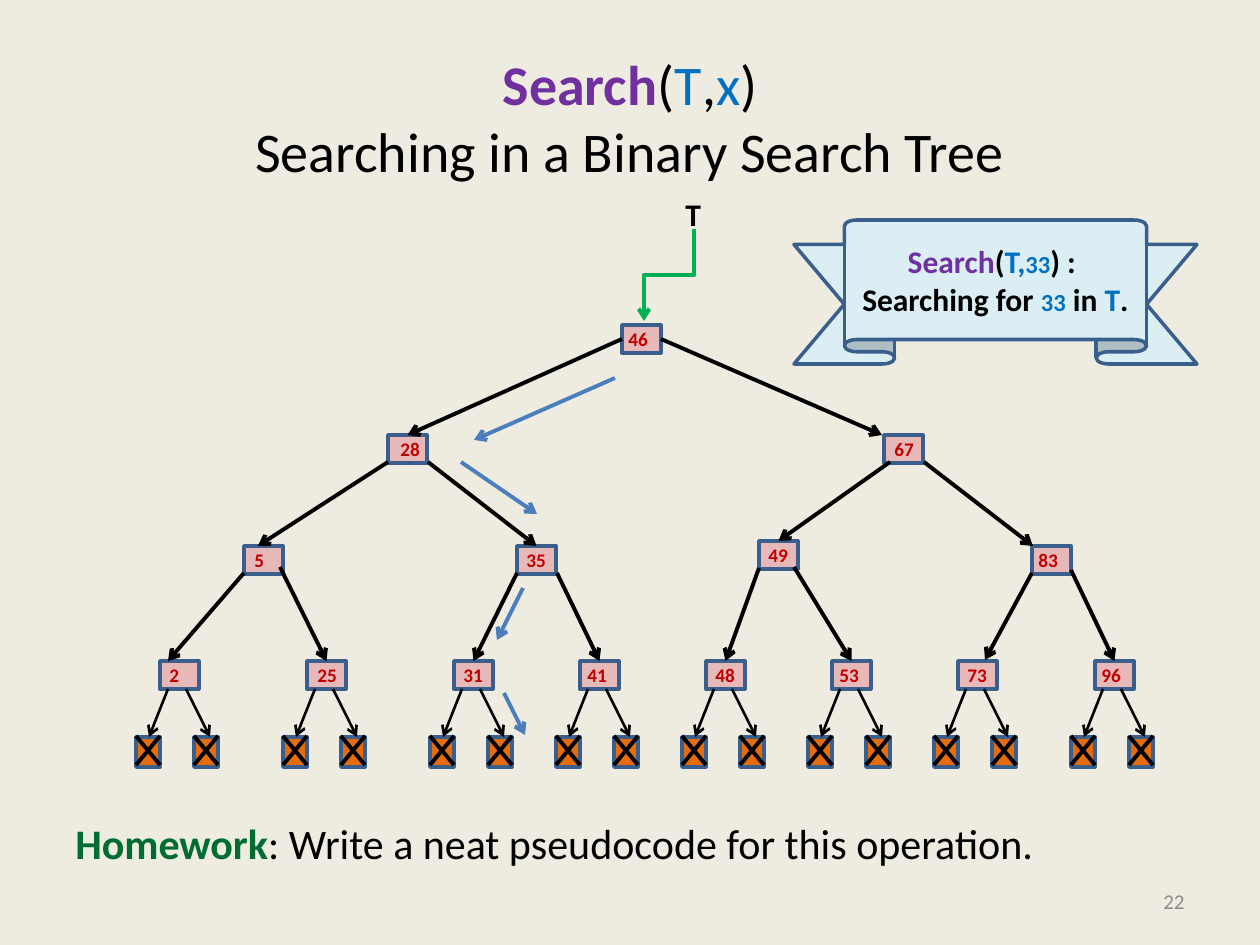
from lxml import etree
from pptx import Presentation
from pptx.dml.color import RGBColor
from pptx.enum.shapes import MSO_CONNECTOR, MSO_SHAPE
from pptx.enum.text import MSO_ANCHOR, MSO_AUTO_SIZE, PP_ALIGN
from pptx.oxml.ns import qn
from pptx.util import Emu, Pt

STRAIGHT, ELBOW = MSO_CONNECTOR.STRAIGHT, MSO_CONNECTOR.ELBOW
RECT, RIBBON = MSO_SHAPE.RECTANGLE, MSO_SHAPE.UP_RIBBON
MIDDLE, TOP = MSO_ANCHOR.MIDDLE, MSO_ANCHOR.TOP
LEFT, CENTER, RIGHT = PP_ALIGN.LEFT, PP_ALIGN.CENTER, PP_ALIGN.RIGHT
FIT_SHAPE, NO_FIT = MSO_AUTO_SIZE.SHAPE_TO_FIT_TEXT, MSO_AUTO_SIZE.NONE

EMU_PER_PX = 914400 / 126
BLACK, PURPLE, BLUE, GREEN = "000000", "7030A0", "0070C0", "00B050"
RED, OUTLINE, PATH_BLUE = "C00000", "3A5F8C", "4B7EBC"
PINK, ORANGE, PALE_BLUE = "E6B9B8", "E46C0A", "DBEEF4"
NODE_W, NODE_H = 39, 28
NULL_W, NULL_H = 24, 30
LEAF_Y, NULL_Y = 661, 737


def px(length):
    return Emu(round(length * EMU_PER_PX))


def rgb(value):
    return RGBColor.from_string(value)


class Canvas:
    font = "Calibri"

    def __init__(self, slide):
        self.slide = slide

    def fill_text(self, frame, paragraphs, align=LEFT, anchor=TOP):
        frame.vertical_anchor = anchor
        for index, parts in enumerate(paragraphs):
            paragraph = frame.add_paragraph() if index else frame.paragraphs[0]
            paragraph.alignment = align
            for text, size, color, bold in parts:
                if text == "\n":
                    paragraph.add_line_break()
                    continue
                run = paragraph.add_run()
                run.text = text
                run.font.name = self.font
                run.font.size = Pt(size)
                run.font.bold = bold
                run.font.color.rgb = rgb(color)

    def title(self, x, y, w, h, parts):
        heading = self.slide.shapes.title
        heading.left, heading.top, heading.width, heading.height = map(px, (x, y, w, h))
        heading.text_frame.auto_size = NO_FIT
        self.fill_text(heading.text_frame, [parts], CENTER, MIDDLE)

    def text(self, x, y, w, h, parts, align=LEFT, anchor=TOP, wrap=True):
        frame = self.slide.shapes.add_textbox(*map(px, (x, y, w, h))).text_frame
        frame.word_wrap = wrap
        frame.auto_size = NO_FIT if wrap else FIT_SHAPE
        self.fill_text(frame, [parts], align, anchor)

    def shape(self, kind, x, y, w, h, fill):
        shape = self.slide.shapes.add_shape(kind, *map(px, (x, y, w, h)))
        shape.shadow.inherit = False
        shape.fill.solid()
        shape.fill.fore_color.rgb = rgb(fill)
        shape.line.color.rgb = rgb(OUTLINE)
        shape.line.width = Pt(2)
        return shape

    def line(self, x1, y1, x2, y2, color=BLACK, width=2.25, arrow=True, kind=STRAIGHT):
        line = self.slide.shapes.add_connector(kind, *map(px, (x1, y1, x2, y2)))
        line.line.color.rgb = rgb(color)
        line.line.width = Pt(width)
        properties = line._element.spPr
        if arrow:
            etree.SubElement(properties.find(qn("a:ln")), qn("a:tailEnd"), type="arrow")
        etree.SubElement(properties, qn("a:effectLst"))
        return line

    def null_leaf(self, x):
        bottom = NULL_Y + NULL_H - 2
        self.shape(RECT, x, NULL_Y, NULL_W, NULL_H, ORANGE)
        self.line(x + NULL_W, NULL_Y - 1, x, bottom, arrow=False)
        self.line(x, NULL_Y - 1, x + NULL_W, bottom, arrow=False)


def main():
    deck = Presentation()
    deck.slide_width, deck.slide_height = px(1260), px(945)
    slide = deck.slides.add_slide(deck.slide_layouts[5])
    slide.background.fill.solid()
    slide.background.fill.fore_color.rgb = rgb("EEECE1")
    canvas = Canvas(slide)

    canvas.title(63, 38, 1134, 157, [
        ("Search", 32, PURPLE, True), ("(", 32, BLACK, False),
        ("T", 32, BLUE, False), (",", 32, BLACK, False),
        ("x", 32, BLUE, False), (")", 32, BLACK, False),
        ("\n", 32, BLACK, False),
        ("Searching in a Binary Search Tree", 32, BLACK, False)])
    canvas.text(63, 811, 1134, 64, [
        ("Homework", 24, "006C31", True),
        (": Write a neat pseudocode for this operation.", 24, BLACK, False)])
    canvas.text(903, 876, 294, 50, [("22", 12, "8C8C8C", False)], RIGHT, MIDDLE)

    inner_nodes = [(46, 622, 325, 616), (28, 388, 435, 388), (67, 884, 435, 882),
                   (5, 244, 546, 242), (35, 517, 546, 514), (49, 759, 541, 756),
                   (83, 1032, 546, 1026)]
    leaf_nodes = [(2, 160, 157), (25, 307, 305), (31, 454, 451), (41, 580, 575),
                  (48, 706, 703), (53, 832, 827), (73, 958, 955), (96, 1095, 1089)]
    tree = inner_nodes + [(key, x, LEAF_Y, label_x) for key, x, label_x in leaf_nodes]
    nodes = {key: canvas.shape(RECT, x, y, NODE_W, NODE_H, PINK)
             for key, x, y, _ in tree}

    for _, x, _ in leaf_nodes:
        for null_x, start_x, end_x in ((-24, 8, -11), (34, 26, 50)):
            canvas.null_leaf(x + null_x)
            canvas.line(x + start_x, LEAF_Y + NODE_H, x + end_x, NULL_Y, width=1.5)

    edges = [
        (46, 28, 622, 339, 408, 435), (46, 67, 661, 339, 882, 435),
        (28, 5, 388, 462, 258, 546), (28, 35, 428, 462, 537, 546),
        (67, 49, 890, 462, 779, 541), (67, 83, 924, 462, 1033, 546),
        (5, 2, 244, 573, 168, 661), (5, 25, 280, 567, 326, 661),
        (35, 31, 517, 573, 474, 661), (35, 41, 557, 573, 600, 661),
        (49, 48, 759, 568, 726, 661), (49, 53, 794, 567, 852, 661),
        (83, 73, 1032, 573, 985, 660), (83, 96, 1071, 570, 1114, 661),
    ]
    root_sides = {28: 1, 67: 3}
    off_center_children = {67, 5, 83, 2, 73}
    for parent, child, *ends in edges:
        edge = canvas.line(*ends)
        if child in root_sides:
            edge.begin_connect(nodes[parent], root_sides[child])
        if child not in off_center_children:
            edge.end_connect(nodes[child], 0)

    root_pointer = canvas.line(623, 250, 715, 300, GREEN, kind=ELBOW)
    root_pointer._element.spPr.find(qn("a:xfrm")).set("rot", "5400000")

    for key, _, y, label_x in tree:
        canvas.text(label_x, y - 4, 45 if key > 9 else 35, 37,
                    [(str(key), 11, RED, True)], wrap=False)
    canvas.text(673, 189, 40, 50, [("T", 18, BLACK, True)], wrap=False)

    banner = canvas.shape(RIBBON, 794, 220, 403, 144, PALE_BLUE)
    banner.adjustments[0], banner.adjustments[1] = 0.17, 0.75
    canvas.fill_text(banner.text_frame, [
        [("Search", 18, PURPLE, True), ("(", 18, BLACK, True), ("T,", 18, BLUE, True),
         ("33", 14, BLUE, True), (") : ", 18, BLACK, True)],
        [("Searching for ", 18, BLACK, True), ("33", 14, BLUE, True),
         (" in ", 18, BLACK, True), ("T", 18, BLUE, True), (".", 18, BLACK, True)],
    ], CENTER, MIDDLE)

    search_path = [(615, 378, 474, 440), (461, 462, 537, 514),
                   (523, 588, 497, 640), (504, 693, 525, 735)]
    for step in search_path:
        canvas.line(*step, color=PATH_BLUE)

    deck.save("out.pptx")


if __name__ == "__main__":
    main()
